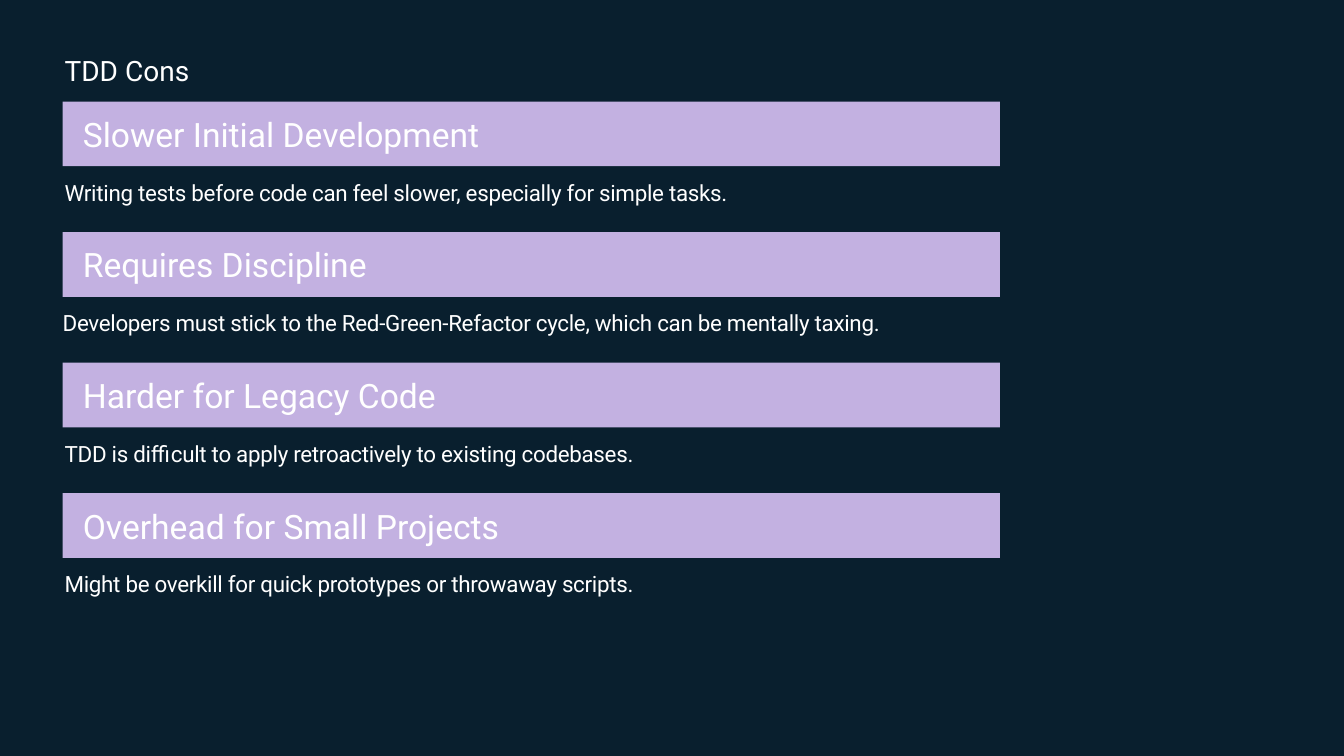
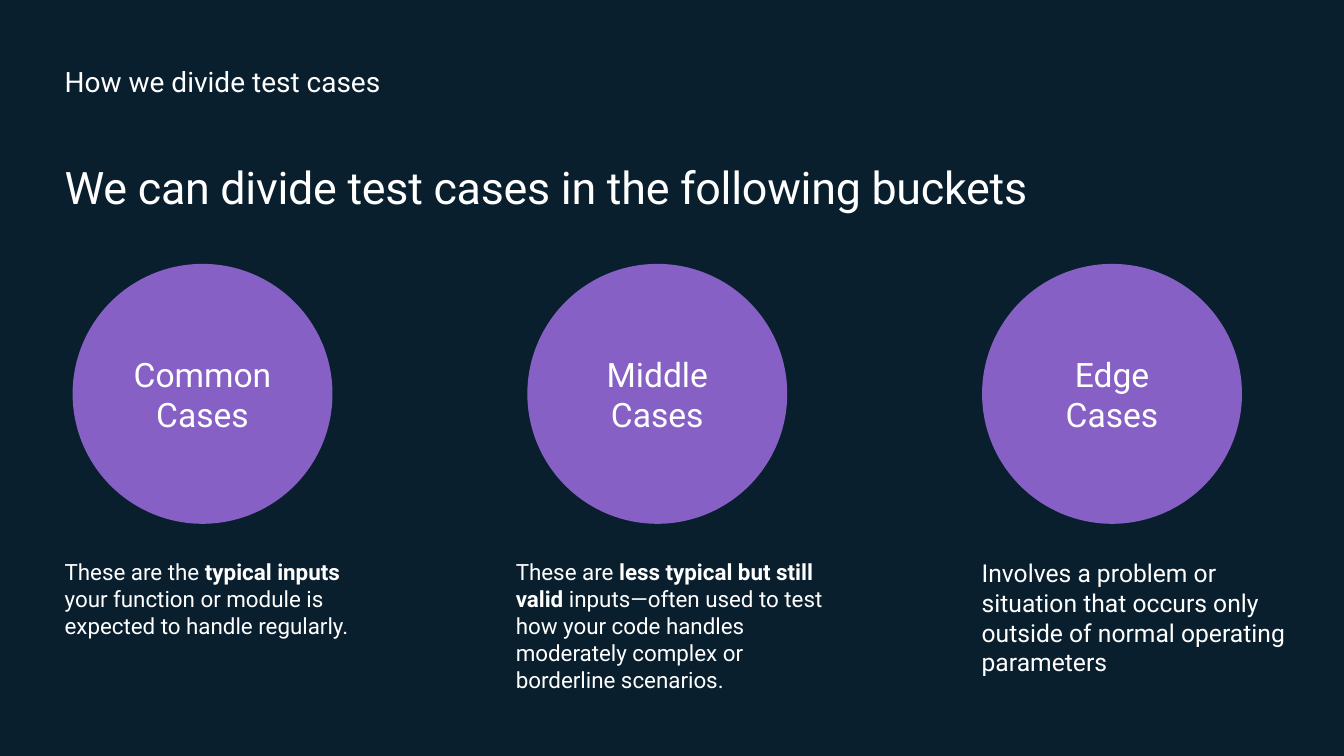
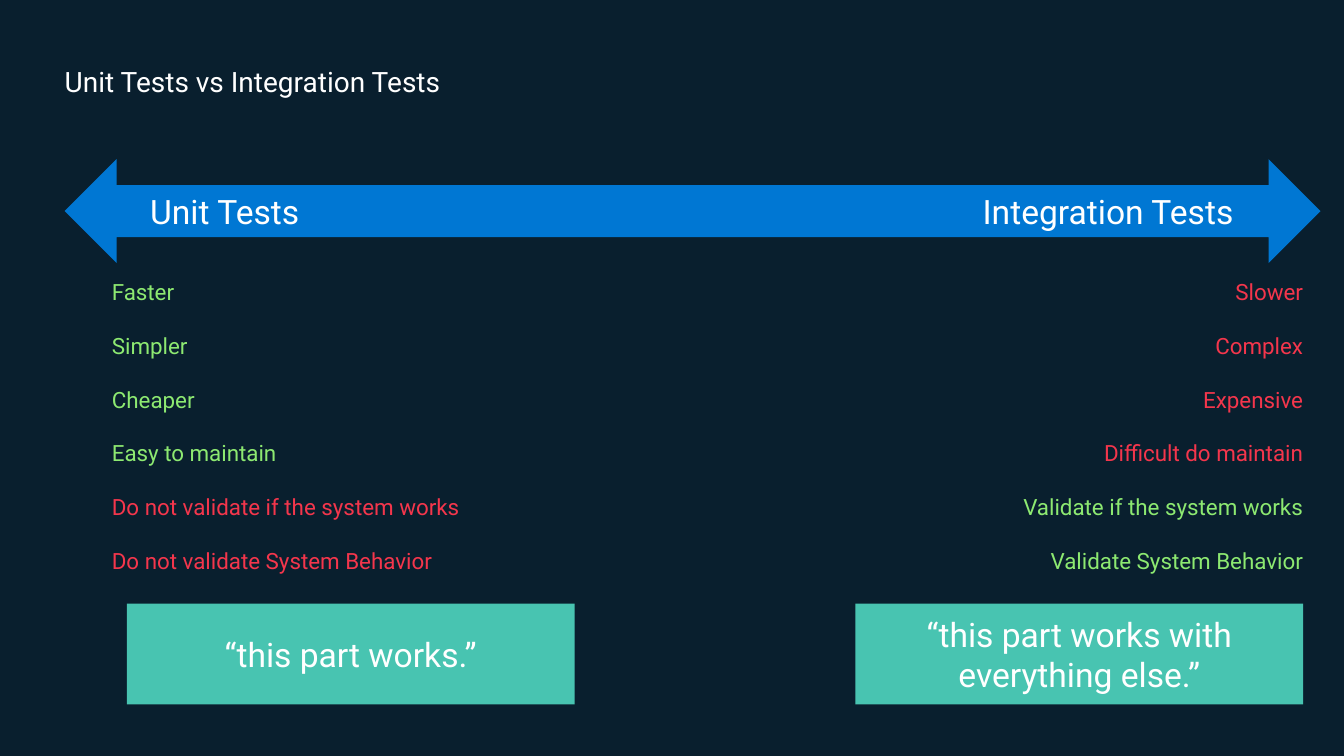
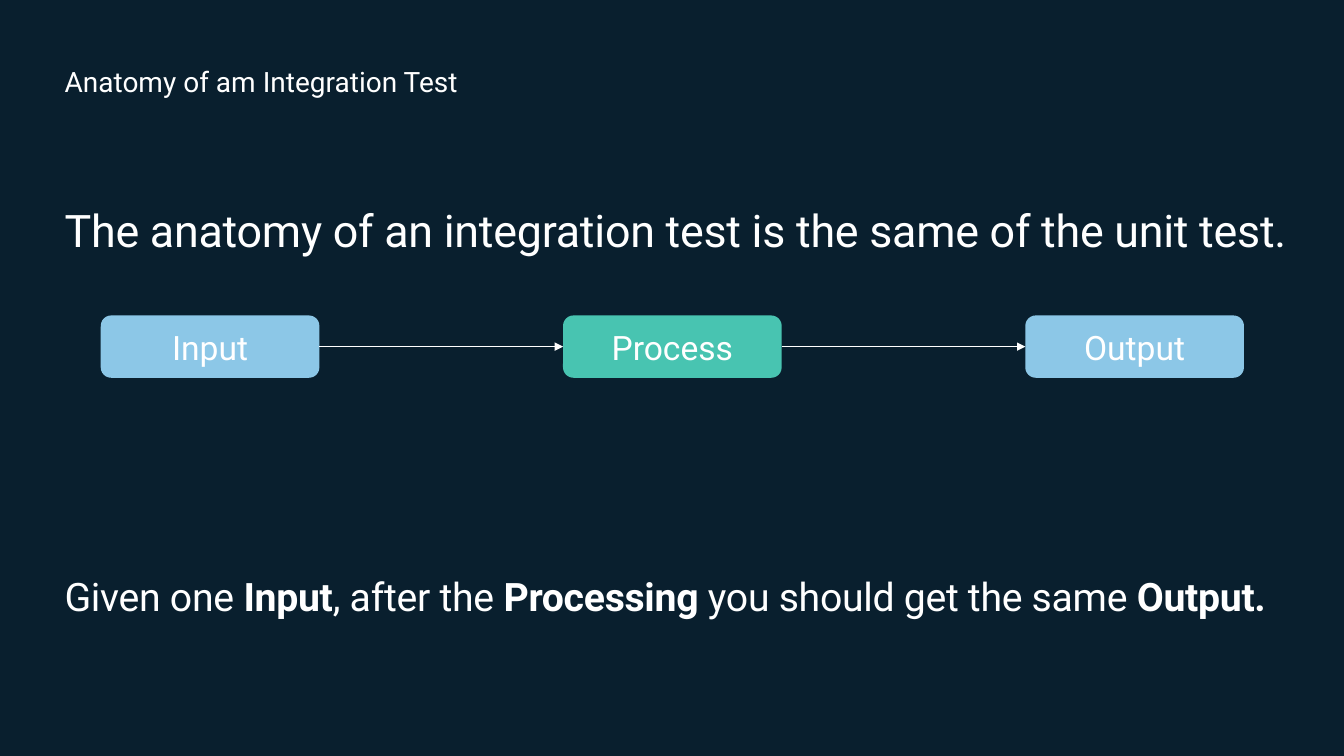
"""Build four slides on test-driven development and kinds of tests."""
from itertools import pairwise
from typing import NamedTuple

from lxml.etree import SubElement
from pptx import Presentation
from pptx.dml.color import RGBColor
from pptx.enum.shapes import MSO_CONNECTOR as Connector, MSO_SHAPE as Preset
from pptx.enum.text import MSO_ANCHOR as Anchor, MSO_AUTO_SIZE as AutoSize, PP_ALIGN as Align
from pptx.oxml.ns import qn
from pptx.shapes.autoshape import Shape
from pptx.slide import Slide
from pptx.text.text import TextFrame
from pptx.util import Cm, Pt

NAVY = RGBColor(0x09, 0x1F, 0x2E)
WHITE = RGBColor(0xFF, 0xFF, 0xFF)
LILAC = RGBColor(0xC3, 0xB1, 0xE1)
PURPLE = RGBColor(0x86, 0x60, 0xC4)
BLUE = RGBColor(0x00, 0x77, 0xD3)
SKY = RGBColor(0x8C, 0xC7, 0xE7)
TEAL = RGBColor(0x48, 0xC4, 0xB1)
GREEN = RGBColor(0x8D, 0xE9, 0x71)
RED = RGBColor(0xF4, 0x36, 0x4C)

FONT = "Roboto"
MARGIN = 1.63
TITLE_TOP = 1.63
BOLD_MARK = "**"


class Box(NamedTuple):
    left: float
    top: float
    width: float
    height: float


class Drawback(NamedTuple):
    heading: str
    detail: str
    detail_left: float = MARGIN


class Bucket(NamedTuple):
    name: str
    detail: str
    detail_left: float
    size: float = 16


class Trait(NamedTuple):
    text: str
    color: RGBColor


class Side(NamedTuple):
    traits: list[Trait]
    traits_left: float
    align: Align
    quote: str
    quote_left: float


class Step(NamedTuple):
    name: str
    color: RGBColor


DRAWBACKS = [
    Drawback("Slower Initial Development",
             "Writing tests before code can feel slower, especially for simple tasks."),
    Drawback("Requires Discipline",
             "Developers must stick to the Red-Green-Refactor cycle, which can be mentally taxing.",
             1.58),
    Drawback("Harder for Legacy Code",
             "TDD is difficult to apply retroactively to existing codebases."),
    Drawback("Overhead for Small Projects",
             "Might be overkill for quick prototypes or throwaway scripts."),
]

BUCKETS = [
    Bucket("Common Cases",
           "These are the **typical inputs** your function or module is expected to handle regularly.",
           MARGIN),
    Bucket("Middle Cases",
           "These are **less typical but still valid** inputs—often used to test how your code "
           "handles moderately complex or borderline scenarios.",
           13),
    Bucket("Edge Cases",
           "Involves a problem or situation that occurs only outside of normal operating parameters",
           24.74, 17.6),
]

SIDES = [
    Side([Trait("Faster", GREEN), Trait("Simpler", GREEN), Trait("Cheaper", GREEN),
          Trait("Easy to maintain", GREEN), Trait("Do not validate if the system works", RED),
          Trait("Do not validate System Behavior", RED)],
         2.82, Align.LEFT, "“this part works.”", 3.2),
    Side([Trait("Slower", RED), Trait("Complex", RED), Trait("Expensive", RED),
          Trait("Difficult do maintain", RED), Trait("Validate if the system works", GREEN),
          Trait("Validate System Behavior", GREEN)],
         20.8, Align.RIGHT, "“this part works with everything else.”", 21.56),
]

STEPS = [Step("Input", SKY), Step("Process", TEAL), Step("Output", SKY)]


def write(frame: TextFrame, text: str, *, size: float = 16, color: RGBColor = WHITE,
          align: Align = Align.LEFT, line_spacing: float | None = None,
          tracking: float = 0, gap: float = 0, tab: float | None = None) -> None:
    """Write one paragraph, with bold parts between marks and a gap above all but the first."""
    paragraph = frame.paragraphs[0]
    if paragraph.runs:
        paragraph = frame.add_paragraph()
        paragraph.space_before = Pt(gap)
    paragraph.alignment = align
    if line_spacing:
        paragraph.line_spacing = line_spacing
    if tab:
        tabs = SubElement(paragraph._p.get_or_add_pPr(), qn("a:tabLst"))
        SubElement(tabs, qn("a:tab"), pos=str(Cm(tab)), algn="r")
    for index, part in enumerate(text.split(BOLD_MARK)):
        if not part:
            continue
        run = paragraph.add_run()
        run.text = part
        run.font.name = FONT
        run.font.size = Pt(size)
        run.font.color.rgb = color
        run.font.bold = index % 2 == 1
        if tracking:
            run.font._element.set("spc", str(round(tracking * 100)))


def set_insets(frame: TextFrame, horizontal: float, vertical: float) -> None:
    """Set the inner margins of a text frame."""
    frame.margin_left = frame.margin_right = Cm(horizontal)
    frame.margin_top = frame.margin_bottom = Cm(vertical)


def add_frame(slide: Slide, box: Box) -> TextFrame:
    """Add an empty, wrapping text box without insets."""
    frame = slide.shapes.add_textbox(*map(Cm, box)).text_frame
    frame.word_wrap = True
    frame.auto_size = AutoSize.SHAPE_TO_FIT_TEXT
    set_insets(frame, 0, 0)
    return frame


def add_body(slide: Slide, text: str, box: Box, size: float) -> None:
    """Add a statement with wide lines and slightly tight letters."""
    write(add_frame(slide, box), text, size=size, line_spacing=1.5, tracking=-0.2)


def add_shape(slide: Slide, preset: Preset, box: Box, color: RGBColor, text: str, *,
              align: Align = Align.CENTER, tab: float | None = None) -> Shape:
    """Add a flat filled shape with a label."""
    shape = slide.shapes.add_shape(preset, *map(Cm, box))
    shape.shadow.inherit = False
    shape.fill.solid()
    shape.fill.fore_color.rgb = color
    shape.line.fill.background()
    frame = shape.text_frame
    frame.word_wrap = True
    frame.vertical_anchor = Anchor.MIDDLE
    set_insets(frame, 0.51, 0.41)
    write(frame, text, size=24, align=align, tab=tab)
    return shape


def add_arrow(slide: Slide, source: Shape, target: Shape) -> None:
    """Join the right side of one shape to the left side of another."""
    connector = slide.shapes.add_connector(Connector.STRAIGHT, 0, 0, 0, 0)
    connector.begin_connect(source, 3)
    connector.end_connect(target, 1)
    connector.line.color.rgb = WHITE
    connector.line.width = Pt(0.75)
    properties = connector.element.spPr
    SubElement(properties.get_or_add_ln(), qn("a:tailEnd"), type="triangle")
    SubElement(properties, qn("a:effectLst"))


def add_slide(presentation: Presentation, title: str, top: float = TITLE_TOP) -> Slide:
    """Add a blank slide with its title."""
    slide = presentation.slides.add_slide(presentation.slide_layouts[6])
    write(add_frame(slide, Box(MARGIN, top, 22.76, 0.86)), title, size=20)
    return slide


def add_drawbacks_slide(presentation: Presentation) -> None:
    """List the drawbacks under headed bars."""
    slide = add_slide(presentation, "TDD Cons", 1.35)
    for index, drawback in enumerate(DRAWBACKS):
        top = 2.56 + index * 3.29
        add_shape(slide, Preset.RECTANGLE, Box(1.58, top, 23.62, 1.63), LILAC,
                  drawback.heading, align=Align.LEFT)
        add_body(slide, drawback.detail, Box(drawback.detail_left, top + 1.61, 31.95, 0.89), 16)


def add_buckets_slide(presentation: Presentation) -> None:
    """Show the buckets of test cases as circles with descriptions."""
    slide = add_slide(presentation, "How we divide test cases")
    add_body(slide, "We can divide test cases in the following buckets",
             Box(MARGIN, 3.35, 29.67, 2.44), 32)
    for index, bucket in enumerate(BUCKETS):
        add_shape(slide, Preset.OVAL, Box(1.83 + index * 11.46, 6.65, 6.55, 6.55),
                  PURPLE, bucket.name)
        write(add_frame(slide, Box(bucket.detail_left, 14.07, 7.75, 2.74)),
              bucket.detail, size=bucket.size)


def add_comparison_slide(presentation: Presentation) -> None:
    """Compare unit and integration tests along a double arrow."""
    slide = add_slide(presentation, "Unit Tests vs Integration Tests")
    arrow = add_shape(slide, Preset.LEFT_RIGHT_ARROW, Box(MARGIN, 4.01, 31.65, 2.62), BLUE,
                      "Unit Tests\tIntegration Tests", align=Align.LEFT, tab=27.3)
    arrow.text_frame.margin_left = Cm(1.5)
    for side in SIDES:
        frame = add_frame(slide, Box(side.traits_left, 7.01, 12.04, 8.2))
        for trait in side.traits:
            write(frame, trait.text, color=trait.color, align=side.align, gap=19.2)
        add_shape(slide, Preset.RECTANGLE, Box(side.quote_left, 15.21, 11.28, 2.54),
                  TEAL, side.quote)


def add_anatomy_slide(presentation: Presentation) -> None:
    """Show the steps of an integration test as a flow."""
    slide = add_slide(presentation, "Anatomy of am Integration Test")
    add_body(slide, "The anatomy of an integration test is the same of the unit test.",
             Box(MARGIN, 4.42, 31.09, 3.86), 32)
    boxes = [add_shape(slide, Preset.ROUNDED_RECTANGLE,
                       Box(2.54 + index * 11.65, 7.95, 5.51, 1.57), step.color, step.name)
             for index, step in enumerate(STEPS)]
    for source, target in pairwise(boxes):
        add_arrow(slide, source, target)
    add_body(slide, "Given one **Input**, after the **Processing** you should get the same **Output.**",
             Box(MARGIN, 13.84, 31.09, 1.57), 28)


def main() -> None:
    """Build and save the presentation."""
    presentation = Presentation()
    presentation.slide_width = Cm(33.87)
    presentation.slide_height = Cm(19.05)
    background = presentation.slide_master.background.fill
    background.solid()
    background.fore_color.rgb = NAVY
    add_drawbacks_slide(presentation)
    add_buckets_slide(presentation)
    add_comparison_slide(presentation)
    add_anatomy_slide(presentation)
    presentation.save("out.pptx")


if __name__ == "__main__":
    main()
